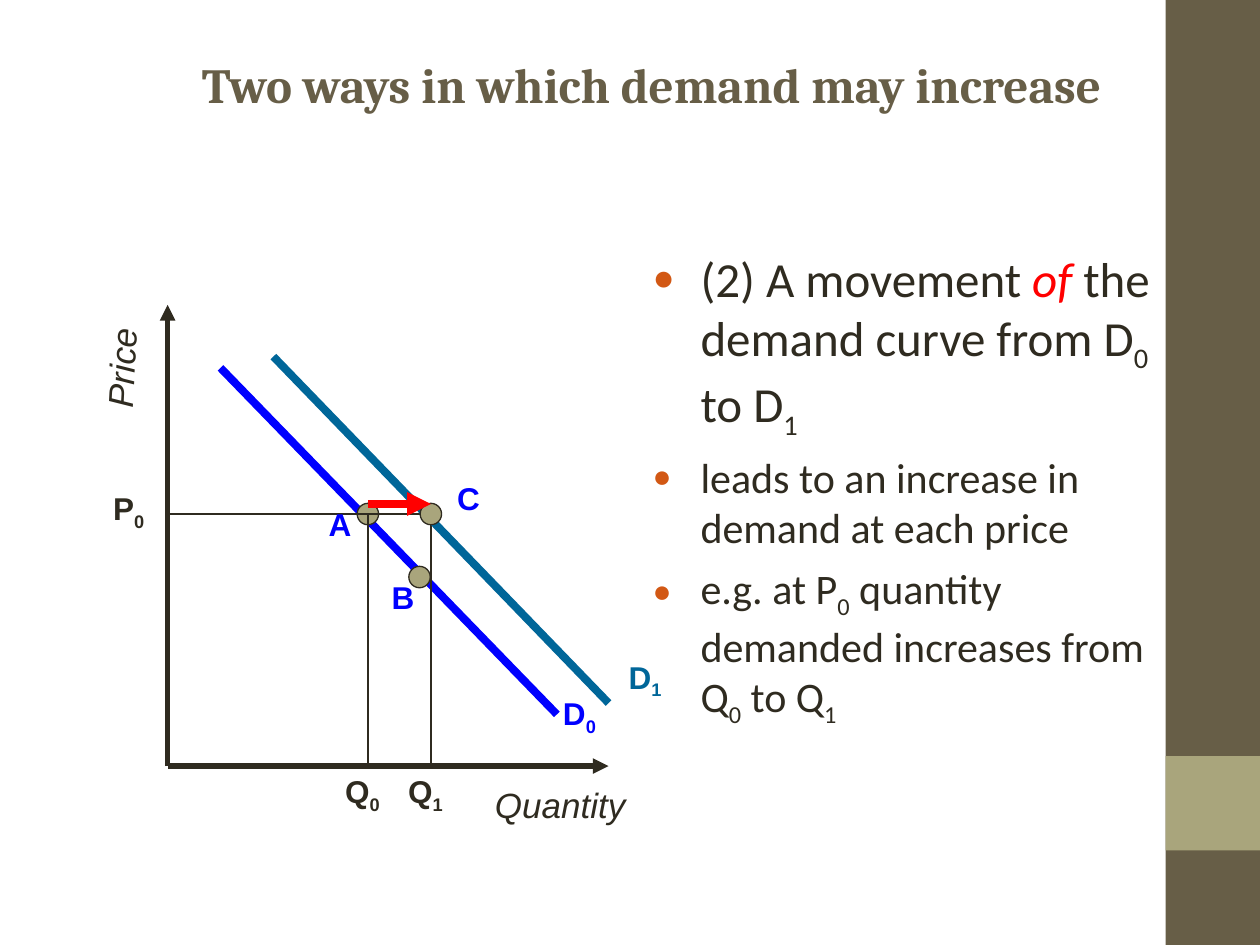
"""Build the slide on a shift of the demand curve."""
from pptx import Presentation, util as u
from pptx.dml.color import RGBColor
from pptx.enum import shapes, text
from pptx.oxml import parse_xml
from pptx.oxml.ns import nsdecls

INK = RGBColor(0x2F, 0x2B, 0x20)
BROWN = RGBColor(0x67, 0x5E, 0x47)
SAGE = RGBColor(0xA9, 0xA5, 0x7C)
BLUE = RGBColor(0, 0, 0xFF)
TEAL = RGBColor(0, 0x66, 0x99)
RED = RGBColor(0xFF, 0, 0)
RUST = "D25814"

TITLE = "Two ways in which demand may increase"
POINTS = [
    (28, 7, [("(2) A movement ", {}), ("of", {"italic": True, "color": RED}),
             (" the demand curve from D_0 to D_1", {})]),
    (24, 6, [("leads to an increase in demand at each price", {})]),
    (24, 6, [("e.g. at P_0 quantity demanded increases from Q_0 to Q_1", {})]),
]
BANDS = [((9.25, 0, 0.75, 7.5), BROWN), ((9.25, 6, 0.75, 0.75), SAGE)]

ZERO = (1.33, 6.08)
A, B, C = (2.92, 4.08), (3.33, 4.58), (3.42, 4.08)
DOT = 0.17
AXES = [(ZERO, (4.83, ZERO[1]), INK, 3, True),
        (ZERO, (ZERO[0], 2.42), INK, 3, True)]
FIRST = [((1.75, 2.92), (4.42, 5.67), BLUE, 4.5, False)]
GUIDES = [((B[0], A[1]), (ZERO[0], A[1]), INK, 0.75, False)] + [
    (dot, (dot[0], ZERO[1]), INK, 0.75, False) for dot in (A, C)]
SECOND = [((2.17, 2.83), (4.83, 5.58), TEAL, 4.5, False)]
SHIFT = [((A[0], 4), (C[0], 4), RED, 4.5, True)]
LAYERS = [(AXES + FIRST, [A, B]), (GUIDES + SECOND, [C]), (SHIFT, [])]

BOLD = {"size": u.Pt(18), "bold": True}
SLANT = {"size": u.Pt(20), "italic": True}
LABELS = [
    ("A", (2.51, 3.96, 0.38, 0.4), BLUE, BOLD, 0),
    ("B", (3.01, 4.54, 0.38, 0.4), BLUE, BOLD, 0),
    ("C", (3.53, 3.75, 0.38, 0.4), BLUE, BOLD, 0),
    ("P_0", (0.8, 3.83, 0.45, 0.44), INK, BOLD, 0),
    ("Q_0", (2.64, 6.08, 0.47, 0.44), INK, BOLD, 0),
    ("Q_1", (3.14, 6.08, 0.47, 0.44), INK, BOLD, 0),
    ("D_0", (4.37, 5.46, 0.46, 0.44), BLUE, BOLD, 0),
    ("D_1", (4.89, 5.17, 0.46, 0.44), TEAL, BOLD, 0),
    ("Quantity", (3.83, 6.17, 1.23, 0.44), INK, SLANT, 0),
    ("Price", (0.55, 2.7, 0.83, 0.44), INK, SLANT, 273.1),
]


def inch(box):
    return [u.Inches(n) for n in box]


def add_run(para, words, color, style, sub=False):
    run = para.add_run()
    run.text = words
    for key, value in style.items():
        setattr(run.font, key, value)
    run.font.color.rgb = color
    if sub:
        run.font._element.set("baseline", "-25000")


def write(para, words, color, style):
    head, *rest = words.split("_")
    add_run(para, head, color, style)
    for part in rest:
        add_run(para, part[0], color, style, True)
        if part[1:]:
            add_run(para, part[1:], color, style)


def set_frame(frame, form):
    for key, value in form.items():
        setattr(frame, key, value)


def place(shape, box):
    shape.left, shape.top, shape.width, shape.height = inch(box)
    set_frame(shape.text_frame, {
        "word_wrap": True, "auto_size": text.MSO_AUTO_SIZE.NONE,
        "vertical_anchor": text.MSO_ANCHOR.TOP})
    return shape.text_frame


def add_bullet(para):
    props = para._p.get_or_add_pPr()
    props.set("marL", str(u.Inches(0.38)))
    props.set("indent", str(-u.Inches(0.38)))
    for tag in (f'buClr {nsdecls("a")}><a:srgbClr val="{RUST}"/></a:buClr',
                f'buSzPct {nsdecls("a")} val="75000"/',
                f'buFont {nsdecls("a")} typeface="Arial"/',
                f'buChar {nsdecls("a")} char="●"/'):
        props.append(parse_xml(f"<a:{tag}>"))


def add_shape(slide, kind, box, fill, edge=None):
    shape = slide.shapes.add_shape(kind, *inch(box))
    shape.shadow.inherit = False
    shape.fill.solid()
    shape.fill.fore_color.rgb = fill
    if edge is None:
        shape.line.fill.background()
    else:
        shape.line.color.rgb = edge
        shape.line.width = u.Pt(0.75)


def add_line(slide, start, end, color, width, arrow):
    line = slide.shapes.add_connector(
        shapes.MSO_CONNECTOR.STRAIGHT, *inch(start + end))
    line.line.color.rgb = color
    line.line.width = u.Pt(width)
    if arrow:
        line.line._get_or_add_ln().append(
            parse_xml(f'<a:tailEnd {nsdecls("a")} type="triangle"/>'))
    line._element.spPr.append(parse_xml(f'<a:effectLst {nsdecls("a")}/>'))


def add_label(slide, words, box, color, style, turn):
    label = slide.shapes.add_textbox(*inch(box))
    label.rotation = turn
    set_frame(label.text_frame, {
        "word_wrap": False, "margin_right": 0,
        "auto_size": text.MSO_AUTO_SIZE.NONE})
    para = label.text_frame.paragraphs[0]
    para.alignment = text.PP_ALIGN.LEFT
    write(para, words, color, {"name": "Arial", **style})


def main():
    deck = Presentation()
    deck.slide_width, deck.slide_height = inch((10, 7.5))
    slide = deck.slides.add_slide(deck.slide_layouts[1])

    head = place(slide.shapes.title, (0.92, 0.38, 8.5, 1.21)).paragraphs[0]
    head.alignment = text.PP_ALIGN.CENTER
    write(head, TITLE, BROWN,
          {"name": "Cambria", "size": u.Pt(28), "bold": True})

    body = place(slide.placeholders[1], (5.08, 1.92, 4.17, 4.5))
    for i, (size, gap, parts) in enumerate(POINTS):
        para = body.add_paragraph() if i else body.paragraphs[0]
        para.space_before = u.Pt(gap)
        add_bullet(para)
        for words, extra in parts:
            style = {"name": "Calibri", "size": u.Pt(size), **extra}
            write(para, words, style.pop("color", INK), style)

    for box, fill in BANDS:
        add_shape(slide, shapes.MSO_SHAPE.RECTANGLE, box, fill)
    for lines, dots in LAYERS:
        for line in lines:
            add_line(slide, *line)
        for x, y in dots:
            add_shape(slide, shapes.MSO_SHAPE.OVAL,
                      (x - DOT / 2, y - DOT / 2, DOT, DOT), SAGE, INK)
    for label in LABELS:
        add_label(slide, *label)
    deck.save("out.pptx")


if __name__ == "__main__":
    main()
